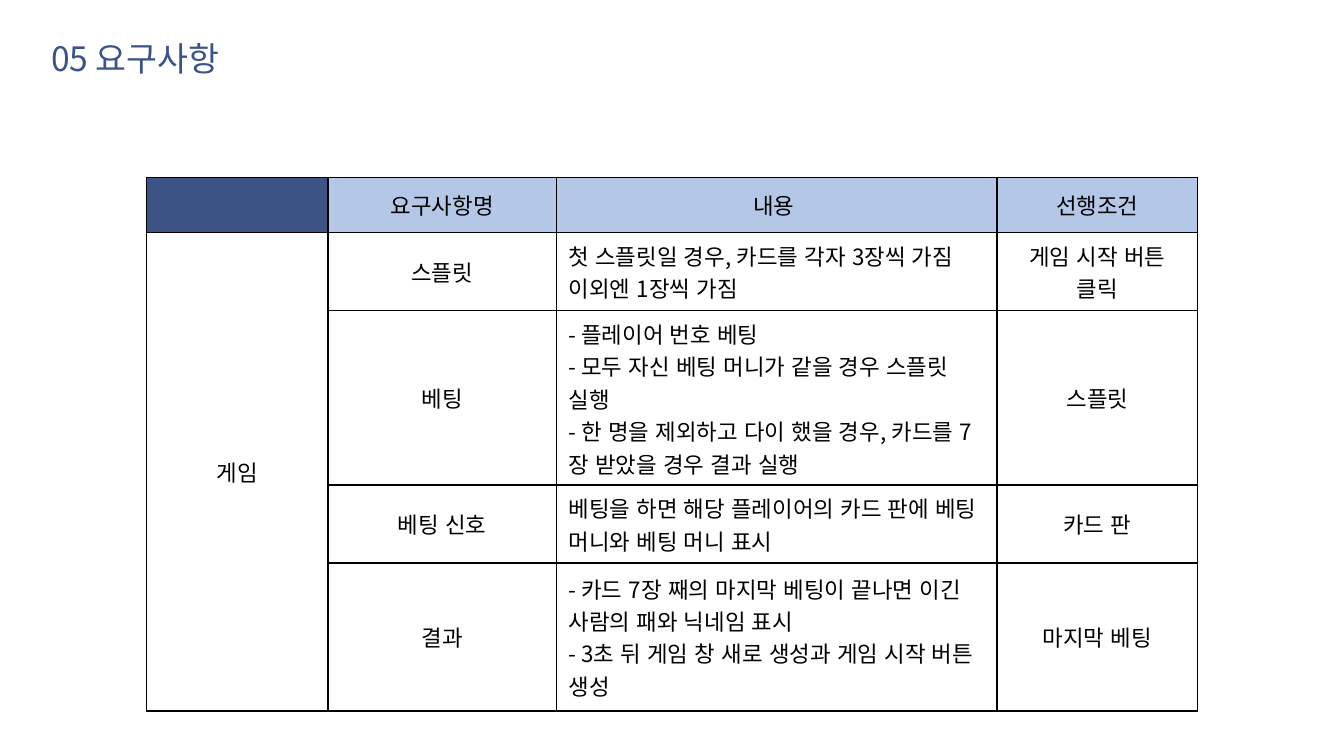
from lxml import etree
from pptx import Presentation
from pptx.dml.color import RGBColor
from pptx.enum.lang import MSO_LANGUAGE_ID
from pptx.enum.text import MSO_ANCHOR, MSO_AUTO_SIZE, PP_ALIGN
from pptx.oxml.ns import qn
from pptx.util import Inches, Pt

CENTER, LEFT = PP_ALIGN.CENTER, PP_ALIGN.LEFT
TOP, MIDDLE = MSO_ANCHOR.TOP, MSO_ANCHOR.MIDDLE
FIT_SHAPE = MSO_AUTO_SIZE.SHAPE_TO_FIT_TEXT
KOREAN = MSO_LANGUAGE_ID.KOREAN

FONT = "Noto Sans CJK KR"
NAVY = RGBColor(0x3B, 0x53, 0x85)
LIGHT_BLUE = RGBColor(0xB4, 0xC7, 0xE7)
BLACK = RGBColor(0, 0, 0)

TITLE = "05 요구사항"
CATEGORY = "게임"
HEADER = ["", "요구사항명", "내용 ", "선행조건"]
REQUIREMENTS = [
    ("스플릿", "첫 스플릿일 경우, 카드를 각자 3장씩 가짐 이외엔 1장씩 가짐", "게임 시작 버튼 클릭"),
    ("베팅",
     "- 플레이어 번호 베팅\n"
     "- 모두 자신 베팅 머니가 같을 경우 스플릿 실행\n"
     "- 한 명을 제외하고 다이 했을 경우, 카드를 7장 받았을 경우 결과 실행",
     "스플릿"),
    ("베팅 신호", "베팅을 하면 해당 플레이어의 카드 판에 베팅 머니와 베팅 머니 표시", "카드 판"),
    ("결과",
     "- 카드 7장 째의 마지막 베팅이 끝나면 이긴 사람의 패와 닉네임 표시\n"
     "- 3초 뒤 게임 창 새로 생성과 게임 시작 버튼 생성",
     "마지막 베팅"),
]
COLUMN_WIDTHS = [1.35, 1.7, 3.28, 1.49]
ROW_HEIGHTS = [0.41, 0.58, 1.3, 0.58, 1.1]
CONTENT_COLUMN = 2


def format_text(frame, size, color, align):
    for paragraph in frame.paragraphs:
        paragraph.alignment = align
        for run in paragraph.runs:
            run.font.name = FONT
            run.font.size = Pt(size)
            run.font.color.rgb = color
            run.font.language_id = KOREAN
            # Korean glyphs take the East Asian typeface
            etree.SubElement(run.font._element, qn("a:ea"), typeface=FONT)


def add_borders(cell):
    properties = cell._tc.get_or_add_tcPr()
    for position, side in enumerate(("lnL", "lnR", "lnT", "lnB")):
        line = etree.Element(qn(f"a:{side}"), w=str(Pt(1)))
        fill = etree.SubElement(line, qn("a:solidFill"))
        etree.SubElement(fill, qn("a:srgbClr"), val=str(BLACK))
        properties.insert(position, line)


def add_title(slide):
    title = slide.shapes.title
    title.left, title.top = Inches(0.31), Inches(0.24)
    title.width, title.height = Inches(2.34), Inches(0.38)
    frame = title.text_frame
    frame.text = TITLE
    frame.word_wrap = True
    frame.auto_size = FIT_SHAPE
    frame.vertical_anchor = TOP
    frame.margin_left = frame.margin_right = Inches(0.07)
    frame.margin_top = frame.margin_bottom = Inches(0.04)
    format_text(frame, 18, NAVY, LEFT)


def add_requirements(slide):
    rows = [HEADER] + [("", *requirement) for requirement in REQUIREMENTS]
    table = slide.shapes.add_table(
        len(rows), len(HEADER), Inches(1.09), Inches(1.32),
        Inches(sum(COLUMN_WIDTHS)), Inches(sum(ROW_HEIGHTS))).table
    table.first_row = table.horz_banding = False
    for column, width in zip(table.columns, COLUMN_WIDTHS):
        column.width = Inches(width)
    for row, height in zip(table.rows, ROW_HEIGHTS):
        row.height = Inches(height)

    table.cell(1, 0).merge(table.cell(len(rows) - 1, 0))
    for r, texts in enumerate(rows):
        for c, text in enumerate(texts):
            cell = table.cell(r, c)
            is_category = r == 1 and c == 0
            cell.text = CATEGORY if is_category else text
            cell.vertical_anchor = MIDDLE
            cell.margin_left = cell.margin_right = Inches(0.13 if is_category else 0.09)
            cell.margin_top = cell.margin_bottom = Inches(0.06 if is_category else 0.05)
            if r == 0:
                cell.fill.solid()
                cell.fill.fore_color.rgb = LIGHT_BLUE if c else NAVY
            else:
                cell.fill.background()
            add_borders(cell)
            align = LEFT if r and c == CONTENT_COLUMN else CENTER
            format_text(cell.text_frame, 12, BLACK, align)


def main():
    presentation = Presentation()
    presentation.slide_width = Inches(10)
    presentation.slide_height = presentation.slide_width * 9 // 16
    slide = presentation.slides.add_slide(presentation.slide_layouts[5])
    add_requirements(slide)
    add_title(slide)
    presentation.save("out.pptx")


if __name__ == "__main__":
    main()
